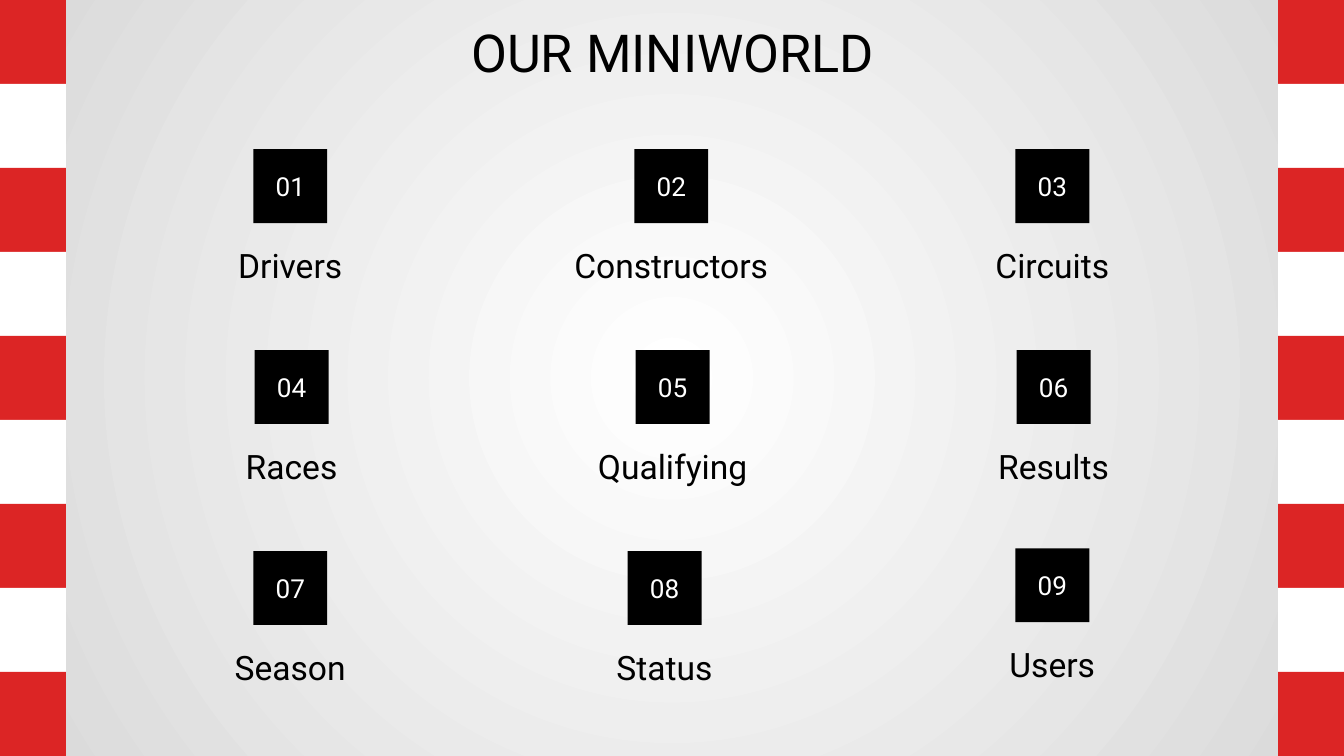
from dataclasses import dataclass

from lxml import etree
from pptx import Presentation
from pptx.dml.color import RGBColor
from pptx.enum import shapes, text
from pptx.oxml import ns, parse_xml
from pptx.util import Inches, Pt

RED = RGBColor(0xDC, 0x25, 0x25)
WHITE = RGBColor(0xFF, 0xFF, 0xFF)
GREY = RGBColor(0xD9, 0xD9, 0xD9)
BLACK = RGBColor(0, 0, 0)
FONT = "Roboto"

WIDE, HIGH = 10, 5.625
BANDS = 9
BAND = HIGH / BANDS
EDGE = 0.49
COLS = 3
LEFT, TOP = 2.16, 1.11
STEP_X, STEP_Y = 2.835, 1.495
TILE = 0.55
LABEL_W, LABEL_H, DROP = 2.46, 0.38, 0.67


@dataclass(frozen=True)
class Topic:
    name: str
    dx: float = 0
    dy: float = 0


TOPICS = [
    Topic("Drivers"), Topic("Constructors"), Topic("Circuits"),
    Topic("Races", 0.01), Topic("Qualifying", 0.01), Topic("Results", 0.01),
    Topic("Season"), Topic("Status", -0.05), Topic("Users", 0, -0.02),
]


def paint(slide) -> None:
    """Fill the background with a radial gradient."""
    fill = slide.background.fill
    fill.gradient()
    for stop, color in zip(fill.gradient_stops, (WHITE, GREY)):
        stop.color.rgb = color
    grad = slide.element.find(".//" + ns.qn("a:gradFill"))
    grad.remove(grad.find(ns.qn("a:lin")))
    grad.append(parse_xml(
        f'<a:path {ns.nsdecls("a")} path="circle">'
        '<a:fillToRect l="50000" t="50000" r="50000" b="50000"/></a:path>'))


def block(slide, x: float, y: float, w: float, h: float, color: RGBColor):
    """Draw a plain filled rectangle."""
    shape = slide.shapes.add_shape(
        shapes.MSO_SHAPE.RECTANGLE, Inches(x), Inches(y), Inches(w), Inches(h))
    shape.shadow.inherit = False
    shape.fill.solid()
    shape.fill.fore_color.rgb = color
    shape.line.fill.background()
    return shape


def write(shape, words: str, *, size: float, color: RGBColor = BLACK,
          inset: float = 0.1) -> None:
    """Put centred text in a shape."""
    frame = shape.text_frame
    frame.word_wrap = True
    frame.vertical_anchor = text.MSO_ANCHOR.MIDDLE
    frame.margin_left = frame.margin_right = Inches(inset)
    frame.margin_top = frame.margin_bottom = Inches(inset)
    par = frame.paragraphs[0]
    par.alignment = text.PP_ALIGN.CENTER
    run = par.add_run()
    run.text = words
    run.font.name = FONT
    run.font.size = Pt(size)
    run.font.color.rgb = color


def label(slide, words: str, x: float, y: float, w: float, h: float,
          size: float) -> None:
    """Add a text box with one centred line."""
    box = slide.shapes.add_textbox(Inches(x), Inches(y), Inches(w), Inches(h))
    write(box, words, size=size)


def entry(slide, index: int, topic: Topic) -> None:
    """Draw a numbered tile and its name in the grid."""
    row, col = divmod(index, COLS)
    mid = LEFT + col * STEP_X + topic.dx
    top = TOP + row * STEP_Y + topic.dy
    tile = block(slide, mid - TILE / 2, top, TILE, TILE, BLACK)
    write(tile, f"{index + 1:02}", size=14, color=WHITE, inset=0)
    label(slide, topic.name, mid - LABEL_W / 2, top + DROP, LABEL_W, LABEL_H, 18)


def main() -> None:
    """Build and save the slide."""
    deck = Presentation()
    deck.slide_width, deck.slide_height = Inches(WIDE), Inches(HIGH)
    slide = deck.slides.add_slide(deck.slide_layouts[6])
    paint(slide)
    for x in (0, WIDE - EDGE):
        for i in range(BANDS):
            block(slide, x, i * BAND, EDGE, BAND, WHITE if i % 2 else RED)
    label(slide, "OUR MINIWORLD", 0.79, 0.07, 8.43, 0.63, 28)
    for index, topic in enumerate(TOPICS):
        entry(slide, index, topic)
    deck.save("out.pptx")


if __name__ == "__main__":
    main()
